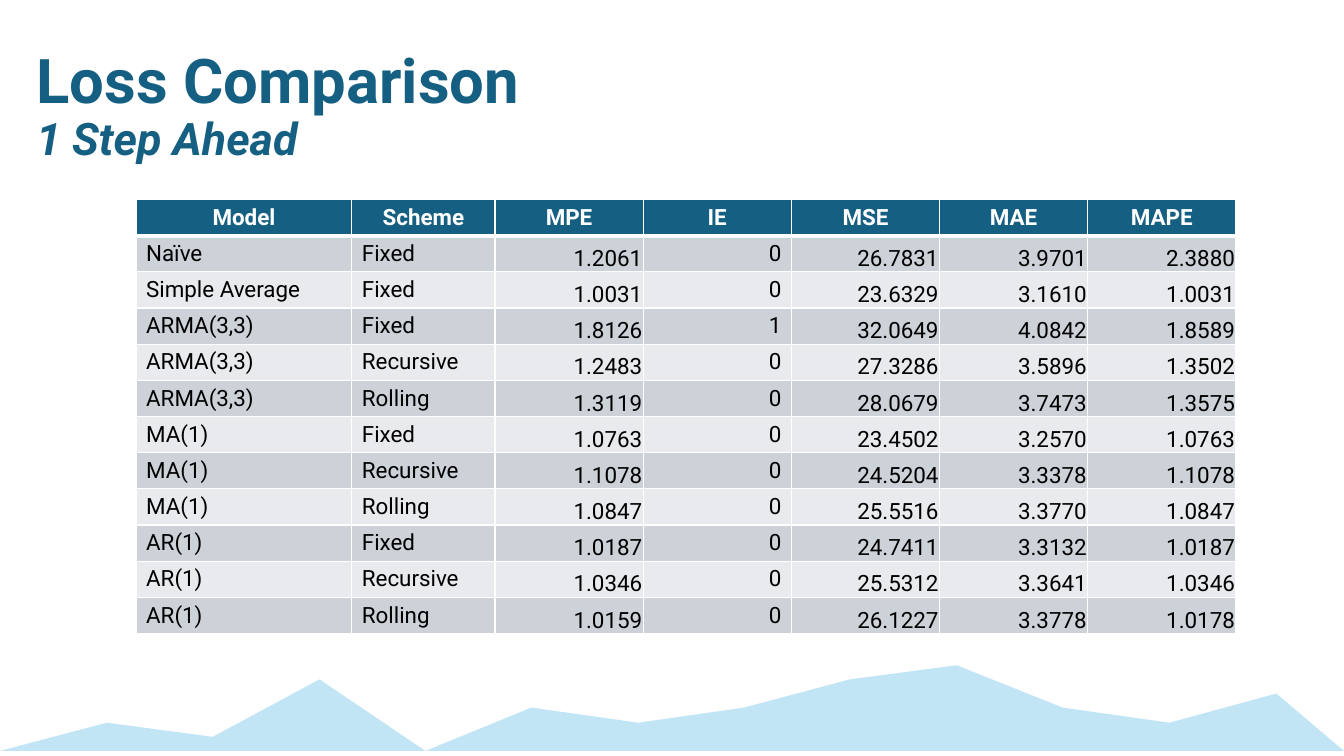
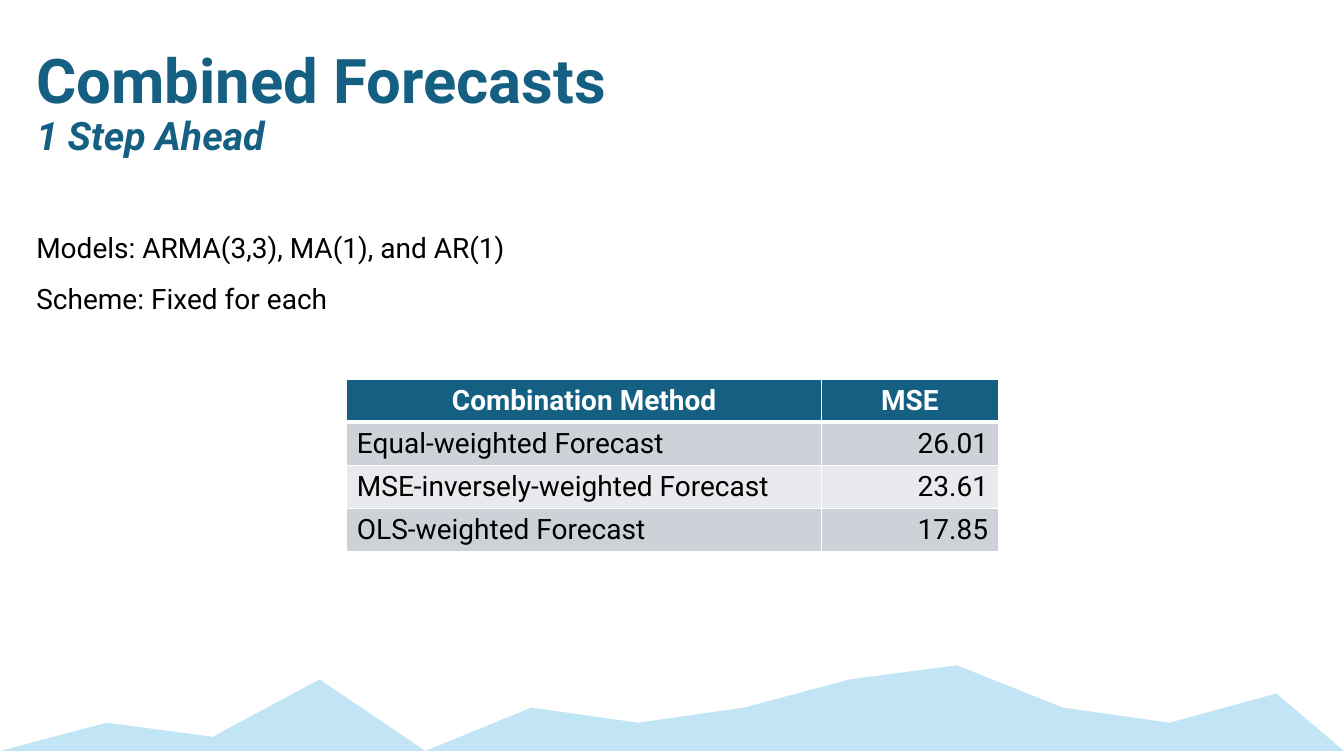
"""Build two slides that compare forecast losses and combined forecasts."""
from dataclasses import dataclass

import pptx
import pptx.dml.color
import pptx.enum.text
import pptx.oxml
import pptx.oxml.ns
import pptx.presentation
import pptx.shapes.placeholder
import pptx.slide
import pptx.table
import pptx.text.text
import pptx.util

Inches = pptx.util.Inches
Align = pptx.enum.text.PP_ALIGN
Anchor = pptx.enum.text.MSO_ANCHOR


@dataclass(frozen=True)
class Theme:
    font: str = "Roboto"
    accent: str = "156082"
    ink: str = "000000"
    paper: str = "FFFFFF"
    bands: tuple[str, str] = ("CCD2D8", "E8EAED")
    mountain: str = "C1E5F5"
    title_size: float = 44
    body_size: float = 20
    grid_line: float = 1
    header_line: float = 3


@dataclass(frozen=True)
class Column:
    header: str
    width: float
    align: Align = Align.LEFT
    anchor: Anchor = Anchor.MIDDLE
    tight: bool = False


@dataclass(frozen=True)
class Grid:
    left: float
    top: float
    height: float
    text_size: float
    columns: tuple[Column, ...]
    rows: tuple[tuple[str, ...], ...]


THEME = Theme()

RIDGE = (
    (0, 7.45), (1.06, 7.17), (2.11, 7.31), (3.17, 6.74), (4.22, 7.45),
    (5.27, 7.02), (6.33, 7.17), (7.38, 7.02), (8.43, 6.74), (9.49, 6.6),
    (10.54, 7.02), (11.6, 7.17), (12.66, 6.88), (13.33, 7.45),
)


def loss_column(header: str) -> Column:
    return Column(header, 1.47, Align.RIGHT, Anchor.BOTTOM, tight=True)


LOSSES = Grid(
    left=1.35, top=1.98, height=4.3, text_size=16,
    columns=(
        Column("Model", 2.14),
        Column("Scheme", 1.42),
        loss_column("MPE"),
        Column("IE", 1.47, Align.RIGHT),
        loss_column("MSE"),
        loss_column("MAE"),
        loss_column("MAPE"),
    ),
    rows=(
        ("Naïve", "Fixed", "1.2061", "0", "26.7831", "3.9701", "2.3880"),
        ("Simple Average", "Fixed", "1.0031", "0", "23.6329", "3.1610", "1.0031"),
        ("ARMA(3,3)", "Fixed", "1.8126", "1", "32.0649", "4.0842", "1.8589"),
        ("ARMA(3,3)", "Recursive", "1.2483", "0", "27.3286", "3.5896", "1.3502"),
        ("ARMA(3,3)", "Rolling", "1.3119", "0", "28.0679", "3.7473", "1.3575"),
        ("MA(1)", "Fixed", "1.0763", "0", "23.4502", "3.2570", "1.0763"),
        ("MA(1)", "Recursive", "1.1078", "0", "24.5204", "3.3378", "1.1078"),
        ("MA(1)", "Rolling", "1.0847", "0", "25.5516", "3.3770", "1.0847"),
        ("AR(1)", "Fixed", "1.0187", "0", "24.7411", "3.3132", "1.0187"),
        ("AR(1)", "Recursive", "1.0346", "0", "25.5312", "3.3641", "1.0346"),
        ("AR(1)", "Rolling", "1.0159", "0", "26.1227", "3.3778", "1.0178"),
    ),
)

COMBINATIONS = Grid(
    left=3.44, top=3.76, height=1.7, text_size=20,
    columns=(
        Column("Combination Method", 4.71),
        Column("MSE", 1.75, Align.RIGHT, Anchor.BOTTOM),
    ),
    rows=(
        ("Equal-weighted Forecast", "26.01"),
        ("MSE-inversely-weighted Forecast", "23.61"),
        ("OLS-weighted Forecast", "17.85"),
    ),
)


def rgb(colour: str) -> pptx.dml.color.RGBColor:
    return pptx.dml.color.RGBColor.from_string(colour)


def style_paragraph(paragraph: pptx.text.text._Paragraph, size: float, colour: str,
                    align: Align = Align.LEFT, bold: bool = False,
                    italic: bool = False) -> None:
    paragraph.alignment = align
    font = paragraph.font
    font.name, font.size = THEME.font, pptx.util.Pt(size)
    font.bold, font.italic = bold, italic
    font.color.rgb = rgb(colour)


def fill_placeholder(holder: pptx.shapes.placeholder.SlidePlaceholder,
                     lines: tuple[str, ...], top: float,
                     height: float) -> pptx.text.text.TextFrame:
    holder.left, holder.top = Inches(0.26), Inches(top)
    holder.width, holder.height = Inches(12.8), Inches(height)
    frame = holder.text_frame
    frame.text = "\n".join(lines)
    frame.word_wrap = True
    frame.auto_size = pptx.enum.text.MSO_AUTO_SIZE.NONE
    frame.vertical_anchor = Anchor.TOP
    frame.margin_left = frame.margin_right = Inches(0.1)
    frame.margin_top = frame.margin_bottom = Inches(0.1)
    return frame


def add_mountains(slide: pptx.slide.Slide) -> None:
    points = [(Inches(x), Inches(y)) for x, y in RIDGE]
    builder = slide.shapes.build_freeform(*points[0])
    builder.add_line_segments(points[1:], close=True)
    mountains = builder.convert_to_shape()
    mountains.shadow.inherit = False
    mountains.fill.solid()
    mountains.fill.fore_color.rgb = rgb(THEME.mountain)
    mountains.line.fill.background()


def add_titled_slide(deck: pptx.presentation.Presentation, layout: int, title: str,
                     subtitle: str, subtitle_size: float) -> pptx.slide.Slide:
    slide = deck.slides.add_slide(deck.slide_layouts[layout])
    add_mountains(slide)
    frame = fill_placeholder(slide.shapes.title, (title, subtitle), 0.4, 1.35)
    heading, subheading = frame.paragraphs
    style_paragraph(heading, THEME.title_size, THEME.accent, bold=True)
    style_paragraph(subheading, subtitle_size, THEME.accent, bold=True, italic=True)
    heading.line_spacing = subheading.line_spacing = 0.9
    return slide


def add_body(slide: pptx.slide.Slide, lines: tuple[str, ...]) -> None:
    frame = fill_placeholder(slide.placeholders[1], lines, 2.19, 1.2)
    for paragraph in frame.paragraphs:
        style_paragraph(paragraph, THEME.body_size, THEME.ink)
        paragraph.line_spacing = 1.0
        paragraph.space_before = pptx.util.Pt(0)
        paragraph.space_after = pptx.util.Pt(12)
        properties = paragraph._p.get_or_add_pPr()
        properties.set("marL", "0")
        properties.set("indent", "0")
        properties.append(pptx.oxml.parse_xml(
            f'<a:buNone {pptx.oxml.ns.nsdecls("a")}/>'))


def add_borders(cell: pptx.table._Cell, row: int) -> None:
    widths = dict.fromkeys(("lnL", "lnR", "lnT", "lnB"), THEME.grid_line)
    if row < 2:
        widths["lnT" if row else "lnB"] = THEME.header_line
    properties = cell._tc.get_or_add_tcPr()
    for side, width in widths.items():
        properties.append(pptx.oxml.parse_xml(
            f'<a:{side} {pptx.oxml.ns.nsdecls("a")} w="{pptx.util.Pt(width)}">'
            f'<a:solidFill><a:srgbClr val="{THEME.paper}"/></a:solidFill></a:{side}>'))


def fill_cell(cell: pptx.table._Cell, text: str, row: int, column: Column,
              size: float) -> None:
    header = row == 0
    cell.text = text
    cell.vertical_anchor = Anchor.MIDDLE if header else column.anchor
    if column.tight and not header:
        cell.margin_left = cell.margin_right = cell.margin_top = Inches(0.01)
        cell.margin_bottom = Inches(0)
    add_borders(cell, row)
    cell.fill.solid()
    cell.fill.fore_color.rgb = rgb(THEME.accent if header else THEME.bands[(row - 1) % 2])
    style_paragraph(cell.text_frame.paragraphs[0], size,
                    THEME.paper if header else THEME.ink,
                    Align.CENTER if header else column.align, bold=header)


def add_grid(slide: pptx.slide.Slide, grid: Grid) -> None:
    lines = (tuple(column.header for column in grid.columns), *grid.rows)
    table = slide.shapes.add_table(
        len(lines), len(grid.columns), Inches(grid.left), Inches(grid.top),
        Inches(sum(column.width for column in grid.columns)), Inches(grid.height)).table
    table.horz_banding = False
    for index, column in enumerate(grid.columns):
        table.columns[index].width = Inches(column.width)
    for row, line in enumerate(lines):
        table.rows[row].height = Inches(grid.height / len(lines))
        for index, (text, column) in enumerate(zip(line, grid.columns)):
            fill_cell(table.cell(row, index), text, row, column, grid.text_size)


def main() -> None:
    deck = pptx.Presentation()
    deck.slide_width, deck.slide_height = Inches(13.33), Inches(7.5)

    comparison = add_titled_slide(deck, 5, "Loss Comparison", "1 Step Ahead", 32)
    add_grid(comparison, LOSSES)

    combined = add_titled_slide(deck, 1, "Combined Forecasts", "1 Step Ahead", 28)
    add_body(combined, ("Models: ARMA(3,3), MA(1), and AR(1)", "Scheme: Fixed for each"))
    add_grid(combined, COMBINATIONS)

    deck.save("out.pptx")


if __name__ == "__main__":
    main()
